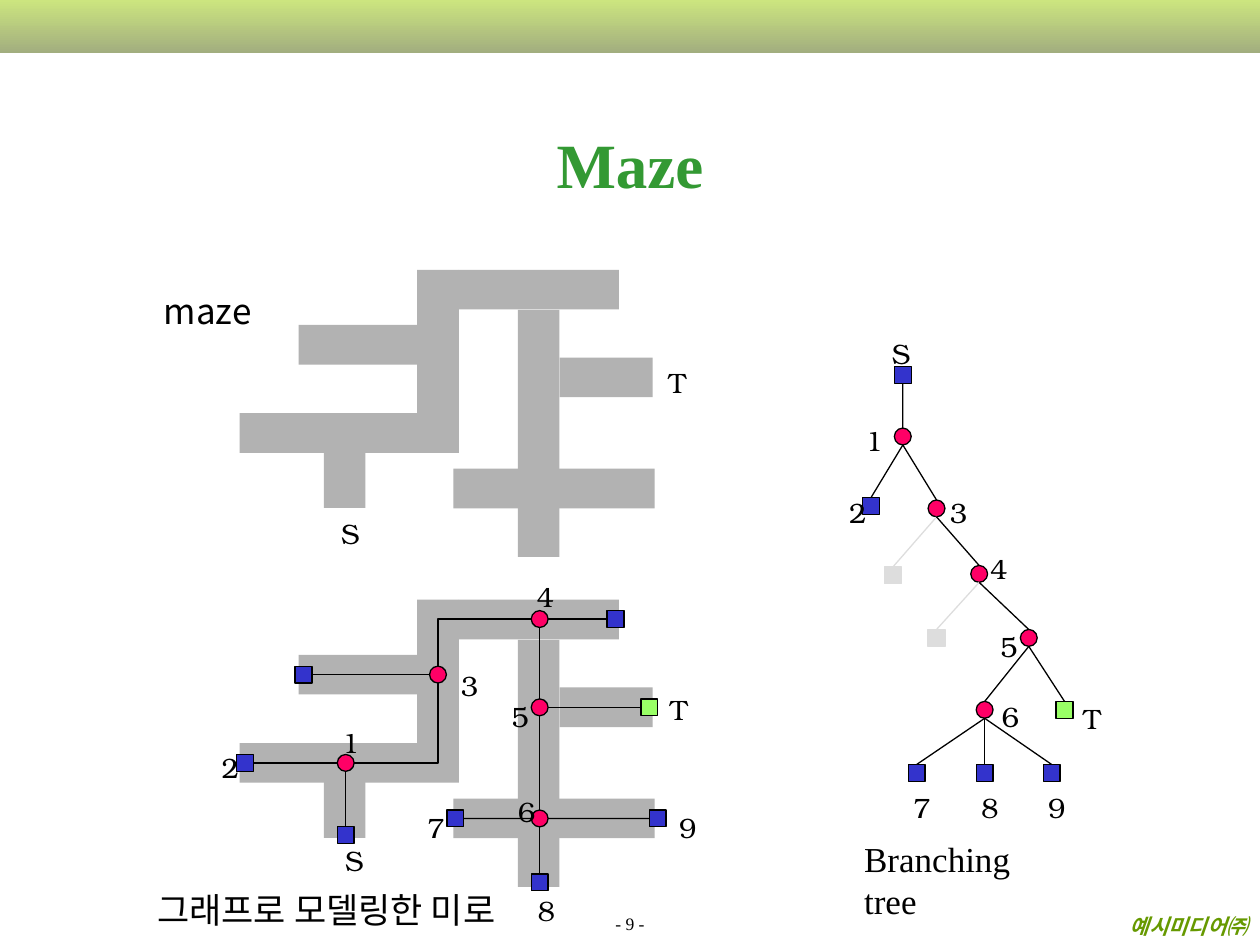
from lxml import etree
from pptx import Presentation
from pptx.dml.color import RGBColor
from pptx.enum.shapes import MSO_CONNECTOR, MSO_SHAPE
from pptx.enum.text import MSO_ANCHOR, PP_ALIGN
from pptx.oxml.ns import qn
from pptx.util import Cm, Pt

RECTANGLE, OVAL = MSO_SHAPE.RECTANGLE, MSO_SHAPE.OVAL
STRAIGHT = MSO_CONNECTOR.STRAIGHT
LEFT, CENTER, RIGHT = PP_ALIGN.LEFT, PP_ALIGN.CENTER, PP_ALIGN.RIGHT
TOP, MIDDLE, BOTTOM = MSO_ANCHOR.TOP, MSO_ANCHOR.MIDDLE, MSO_ANCHOR.BOTTOM

SERIF, LABEL, SANS = "Times New Roman", "TeX Gyre Bonum", "Noto Sans CJK KR"
BLACK, GREY = "000000", "DDDDDD"
NODE = 0.34  # node size in cm
COLORS = {"junction": "FF0066", "end": "3333CC", "target": "99FF66", "unused": GREY}
# Connection sites of a rectangle and the way each one faces
SITES = {"top": (0, 0, -1), "left": (1, -1, 0), "bottom": (2, 0, 1), "right": (3, 1, 0)}


def rgb(color):
    return RGBColor.from_string(color)


def write(box, text, color=BLACK, align=LEFT, anchor=TOP, wrap=False, **formats):
    frame = box.text_frame
    frame.word_wrap = wrap
    frame.vertical_anchor = anchor
    para = frame.paragraphs[0]
    para.alignment = align
    span = para.add_run()
    span.text = text
    for name, value in formats.items():
        setattr(span.font, name, value)
    span.font.color.rgb = rgb(color)
    east_asian = etree.SubElement(span.font._element, qn("a:ea"))
    east_asian.set("typeface", SANS)


deck = Presentation()
deck.slide_width, deck.slide_height = Cm(25.4), Cm(19.05)
slide = deck.slides.add_slide(deck.slide_layouts[5])
shapes = slide.shapes

# Title
title = shapes.title
title.left, title.top, title.width, title.height = Cm(1.9), Cm(1.7), Cm(21.6), Cm(3.18)
write(title, "Maze", "339933", CENTER, MIDDLE, True, name=SERIF, size=Pt(36), bold=True)

# Top band
band = shapes.add_shape(RECTANGLE, 0, 0, deck.slide_width, Cm(1.07))
band.shadow.inherit = False
band.line.fill.background()
band.fill.gradient()
band.fill.gradient_angle = 270
for stop, color in zip(band.fill.gradient_stops, ("CCE57F", "A2AE7F")):
    stop.color.rgb = rgb(color)

# Footer
page_number = shapes.add_textbox(0, Cm(18.39), deck.slide_width, Cm(0.56))
write(page_number, "- 9 -", align=CENTER, anchor=BOTTOM, wrap=True, name=SERIF, size=Pt(10))
publisher = shapes.add_textbox(Cm(0.15), Cm(18.29), Cm(25.25), Cm(0.76))
write(publisher, "예시미디어㈜", "669900", RIGHT, wrap=True,
      name=SERIF, size=Pt(12), bold=True, italic=True)

# Maze corridors, once plain and once under the graph: left, top, width, height
corridors = [
    (9.14, 9.45, 4.06, 0.8), (6.53, 9.12, 0.84, 1.12), (8.41, 5.44, 0.84, 2.9),
    (6.02, 6.55, 2.39, 0.8), (9.25, 5.44, 3.23, 0.8), (10.44, 6.25, 0.84, 4.98),
    (11.28, 7.21, 1.88, 0.8), (4.83, 8.33, 4.42, 0.8),
]
for shift in (0, 6.65):
    maze = shapes.add_group_shape()
    for left, top, width, height in corridors:
        corridor = maze.shapes.add_shape(
            RECTANGLE, Cm(left), Cm(top + shift), Cm(width), Cm(height))
        corridor.shadow.inherit = False
        corridor.fill.solid()
        corridor.fill.fore_color.rgb = rgb("B2B2B2")
        corridor.line.fill.background()

# Nodes: name -> kind, centre x, centre y, label position (None for no label)
maze_nodes = {
    "1": ("junction", 6.97, 15.38, (6.65, 14.5)),
    "2": ("end", 4.94, 15.38, (4.22, 15.01)),
    "3": ("junction", 8.83, 13.6, (9.04, 13.36)),
    "4": ("junction", 10.88, 12.48, (10.57, 11.56)),
    "5": ("junction", 10.88, 14.26, (10.06, 13.97)),
    "6": ("junction", 10.88, 16.5, (10.19, 15.9)),
    "7": ("end", 9.18, 16.5, (8.36, 16.21)),
    "8": ("end", 10.88, 17.79, (10.59, 17.88)),
    "9": ("end", 13.26, 16.5, (13.44, 16.21)),
    "S": ("end", 6.97, 16.83, (6.71, 16.89)),
    "T": ("target", 13.09, 14.26, (13.26, 13.84)),
    "left dead end": ("end", 6.12, 13.6, None),
    "right dead end": ("end", 12.41, 12.48, None),
}
tree_nodes = {
    "S": ("end", 18.2, 7.56, (17.73, 6.65)),
    "1": ("junction", 18.2, 8.8, (17.2, 8.41)),
    "2": ("end", 17.56, 10.2, (16.87, 9.86)),
    "3": ("junction", 18.88, 10.25, (18.9, 9.86)),
    "4": ("junction", 19.74, 11.57, (19.71, 11)),
    "5": ("junction", 20.74, 12.86, (19.91, 12.57)),
    "6": ("junction", 19.85, 14.31, (19.94, 13.97)),
    "T": ("target", 21.46, 14.31, (21.59, 14.02)),
    "7": ("end", 18.48, 15.58, (18.16, 15.82)),
    "8": ("end", 19.85, 15.58, (19.53, 15.82)),
    "9": ("end", 21.2, 15.58, (20.88, 15.82)),
    "left of 3": ("unused", 18, 11.6, None),
    "left of 4": ("unused", 18.88, 12.86, None),
}

# Edges: start node, its side, end node, its side
maze_edges = [
    ("2", "right", "1", "left"), ("1", "bottom", "S", "top"),
    ("left dead end", "right", "3", "left"), ("4", "right", "right dead end", "left"),
    ("5", "right", "T", "left"), ("5", "bottom", "6", "top"), ("4", "bottom", "5", "top"),
    ("6", "left", "7", "right"), ("6", "right", "9", "left"), ("6", "bottom", "8", "top"),
]
children = {"S": ["1"], "1": ["2", "3"], "3": ["left of 3", "4"], "4": ["left of 4", "5"],
            "5": ["6", "T"], "6": ["7", "8", "9"]}
tree_edges = [(parent, "bottom", child, "top")
              for parent, group in children.items() for child in group]

labels = [("S", (6.63, 10.29)), ("T", (13.23, 7.24))]
for nodes, edges in ((maze_nodes, maze_edges), (tree_nodes, tree_edges)):
    marks = {}
    for name, (kind, x, y, label_at) in nodes.items():
        mark = shapes.add_shape(OVAL if kind == "junction" else RECTANGLE,
                                Cm(x - NODE / 2), Cm(y - NODE / 2), Cm(NODE), Cm(NODE))
        mark.shadow.inherit = False
        mark.fill.solid()
        mark.fill.fore_color.rgb = rgb(COLORS[kind])
        mark.line.color.rgb = rgb(GREY if kind == "unused" else BLACK)
        mark.line.width = Pt(0.75)
        marks[name] = mark
        if label_at:
            labels.append((name, label_at))

    for start, start_side, end, end_side in edges:
        points = []
        for name, side in ((start, start_side), (end, end_side)):
            kind, x, y, label_at = nodes[name]
            site, across, down = SITES[side]
            points += [Cm(x + across * NODE / 2), Cm(y + down * NODE / 2)]
        edge = shapes.add_connector(STRAIGHT, *points)
        edge.line.width = Pt(0.75)
        edge.line.color.rgb = rgb(GREY if nodes[end][0] == "unused" else BLACK)
        etree.SubElement(edge._element.spPr, qn("a:effectLst"))
        for name, side, connect in ((start, start_side, edge.begin_connect),
                                    (end, end_side, edge.end_connect)):
            if nodes[name][0] != "junction":
                connect(marks[name], SITES[side][0])

# Bent edges 1-3 and 3-4
for bend in ([(7.14, 15.38), (8.83, 15.38), (8.83, 13.77)],
             [(8.83, 13.43), (8.83, 12.48), (10.71, 12.48)]):
    corners = [(Cm(x), Cm(y)) for x, y in bend]
    builder = shapes.build_freeform(*corners[0])
    builder.add_line_segments(corners[1:], close=False)
    bent_edge = builder.convert_to_shape()
    bent_edge.shadow.inherit = False
    bent_edge.fill.background()
    bent_edge.line.color.rgb = rgb(BLACK)
    bent_edge.line.width = Pt(0.75)

# Node labels
for text, (left, top) in labels:
    box = shapes.add_textbox(Cm(left), Cm(top), Cm(0.82), Cm(0.94))
    write(box, text, name=LABEL, size=Pt(16))

# Captions
for text, font, left, top, width in (
        ("maze", SANS, 3.05, 5.72, 2.29),
        ("그래프로 모델링한 미로", SANS, 2.92, 17.78, 7.39),
        ("Branching tree", SERIF, 17.17, 16.76, 4.67)):
    box = shapes.add_textbox(Cm(left), Cm(top), Cm(width), Cm(1.12))
    write(box, text, name=font, size=Pt(20))

deck.save("out.pptx")
